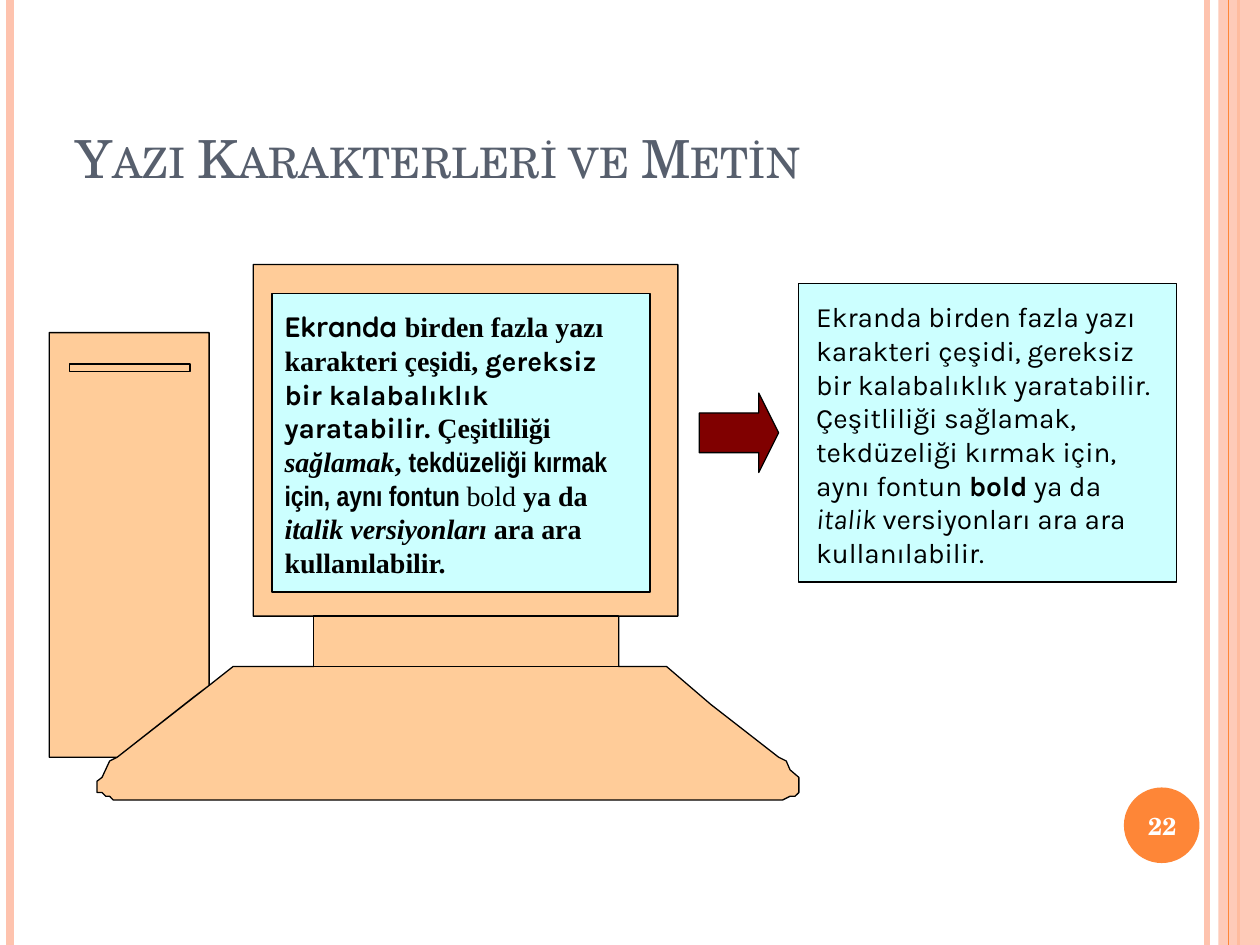
from lxml.etree import SubElement
from pptx import Presentation
from pptx.dml.color import RGBColor
from pptx.enum.lang import MSO_LANGUAGE_ID
from pptx.enum.shapes import MSO_CONNECTOR, MSO_SHAPE
from pptx.enum.text import MSO_ANCHOR, MSO_AUTO_SIZE, PP_ALIGN
from pptx.oxml.ns import qn
from pptx.util import Inches, Pt

COLORS = {
    "peach": "FEC3AE", "orange": "FE8637", "slate": "575F6D", "white": "FFFFFF",
    "black": "000000", "case": "FFCC99", "screen": "CCFFFF", "maroon": "800000",
}
SERIF, TIMES, KARLA = "TeX Gyre Schola", "Times New Roman", "Karla"


def paint(shape, fill, line=None, opacity=100):
    shape.shadow.inherit = False
    shape.fill.solid()
    shape.fill.fore_color.rgb = RGBColor.from_string(COLORS[fill])
    if opacity < 100:
        color = shape.fill._xPr.find(qn("a:solidFill"))[0]
        SubElement(color, qn("a:alpha")).set("val", str(opacity * 1000))
    if line:
        shape.line.color.rgb = RGBColor.from_string(COLORS[line])
        shape.line.width = Pt(0.75)
    else:
        shape.line.fill.background()


def add_run(paragraph, text, font, size, color, bold=False, italic=False):
    run = paragraph.add_run()
    run.text = text
    run.font.name, run.font.size = font, Pt(size)
    run.font.bold, run.font.italic = bold, italic
    run.font.color.rgb = RGBColor.from_string(COLORS[color])
    run.font.language_id = MSO_LANGUAGE_ID.TURKISH
    return run


presentation = Presentation()
presentation.slide_width, presentation.slide_height = Inches(10), Inches(7.5)
slide = presentation.slides.add_slide(presentation.slide_layouts[5])
shapes = slide.shapes

# Side stripes: the translucent band lies over all rules but the last
for x, color, width in [(9.58, "peach", 3), (0.08, "peach", 4.5),
                        (9.83, "orange", 1.5), (9.75, "orange", 0.75)]:
    if x == 9.75:
        band = shapes.add_shape(MSO_SHAPE.RECTANGLE, *map(Inches, (9.67, 0, 0.33, 7.5)))
        paint(band, "peach", opacity=87)
    rule = shapes.add_connector(MSO_CONNECTOR.STRAIGHT, Inches(x), 0, Inches(x), Inches(7.5))
    rule.line.color.rgb = RGBColor.from_string(COLORS[color])
    rule.line.width = Pt(width)
    SubElement(rule._element.spPr, qn("a:effectLst"))

# Title
title = shapes.title
title.left, title.top, title.width, title.height = map(Inches, (0.5, 0.3, 8.17, 1.25))
title.text_frame.vertical_anchor = MSO_ANCHOR.BOTTOM
heading = title.text_frame.paragraphs[0]
heading.alignment = PP_ALIGN.LEFT
heading_run = add_run(heading, "Yazı Karakterleri ve Metin", SERIF, 30, "slate")
heading_run._r.get_or_add_rPr().set("cap", "small")

# Page number badge
badge = shapes.add_shape(MSO_SHAPE.OVAL, *map(Inches, (8.92, 6.25, 0.6, 0.6)))
paint(badge, "orange")
number = shapes.add_textbox(*map(Inches, (8.89, 6.27, 0.67, 0.57))).text_frame
number.word_wrap = True
number.vertical_anchor = MSO_ANCHOR.MIDDLE
number.paragraphs[0].alignment = PP_ALIGN.CENTER
add_run(number.paragraphs[0], "22", SERIF, 14, "white", bold=True)

# Computer: outline of monitor, keyboard and tower, then the seam between the last two
outline = [
    (1.66, 5.44), (1.85, 5.29), (2.49, 5.29), (2.49, 4.89), (2.01, 4.89), (2.01, 2.1),
    (5.38, 2.1), (5.38, 4.89), (4.91, 4.89), (4.91, 5.29), (5.29, 5.29), (5.64, 5.59),
    (6.18, 6.01), (6.24, 6.04), (6.27, 6.11), (6.34, 6.17), (6.34, 6.29), (6.31, 6.32),
    (6.27, 6.32), (6.21, 6.35), (0.9, 6.35), (0.87, 6.32), (0.84, 6.32), (0.81, 6.29),
    (0.77, 6.29), (0.77, 6.2), (0.81, 6.17), (0.87, 6.04), (0.93, 6.01), (0.39, 6.01),
    (0.39, 2.64), (1.66, 2.64),
]
seam = [(1.66, 5.44), (1.54, 5.53), (0.93, 6.01)]
outline, seam = [[(Inches(x), Inches(y)) for x, y in points] for points in (outline, seam)]
builder = shapes.build_freeform(*outline[0])
builder.add_line_segments(outline[1:])
builder.move_to(*seam[0])
builder.add_line_segments(seam[1:])
paint(builder.convert_to_shape(), "case", "black")

# Disk slot, monitor stand, screen and second text panel
for box, fill in [((0.55, 2.89, 0.96, 0.06), "case"), ((2.49, 4.89, 2.42, 0.4), "case"),
                  ((2.16, 2.33, 3, 2.37), "screen"), ((6.34, 2.25, 3, 2.37), "screen")]:
    panel = shapes.add_shape(MSO_SHAPE.RECTANGLE, *map(Inches, box))
    paint(panel, fill, "black")

# Same sentence in mixed fonts and in one font: text, font, bold, italic
mixed_fonts = [
    ("Ekranda ", "Quicksand", True, False),
    ("birden fazla yazı karakteri çeşidi, ", TIMES, True, False),
    ("gereksiz bir kalabalıklık yaratabilir.", KARLA, True, False),
    (" Çeşitliliği ", TIMES, True, False),
    ("sağlamak", TIMES, True, True),
    (", ", TIMES, True, False),
    ("tekdüzeliği kırmak için, aynı fontun ", "Arial Narrow", True, False),
    ("bold", TIMES, False, False),
    (" ya da ", TIMES, True, False),
    ("italik versiyonları", TIMES, True, True),
    (" ara ara kullanılabilir.", TIMES, True, False),
]
single_font = [
    ("Ekranda birden fazla yazı karakteri çeşidi, gereksiz bir kalabalıklık yaratabilir. "
     "Çeşitliliği sağlamak, tekdüzeliği kırmak için, aynı fontun ", KARLA, False, False),
    ("bold", KARLA, True, False),
    (" ya da ", KARLA, False, False),
    ("italik", KARLA, False, True),
    (" versiyonları ara ara kullanılabilir.", KARLA, False, False),
]
for box, runs in [((2.16, 2.41, 2.95, 2.24), mixed_fonts),
                  ((6.38, 2.33, 2.87, 2.24), single_font)]:
    frame = shapes.add_textbox(*map(Inches, box)).text_frame
    frame.word_wrap = True
    frame.auto_size = MSO_AUTO_SIZE.SHAPE_TO_FIT_TEXT
    paragraph = frame.paragraphs[0]
    paragraph.line_spacing = Pt(19.25)
    for text, font, bold, italic in runs:
        add_run(paragraph, text, font, 16, "black", bold, italic)

# Arrow from the screen to the second panel
arrow = shapes.add_shape(MSO_SHAPE.RIGHT_ARROW, *map(Inches, (5.55, 3.12, 0.63, 0.63)))
arrow.adjustments[0], arrow.adjustments[1] = 0.5, 0.25
paint(arrow, "maroon", "black")

presentation.save("out.pptx")
